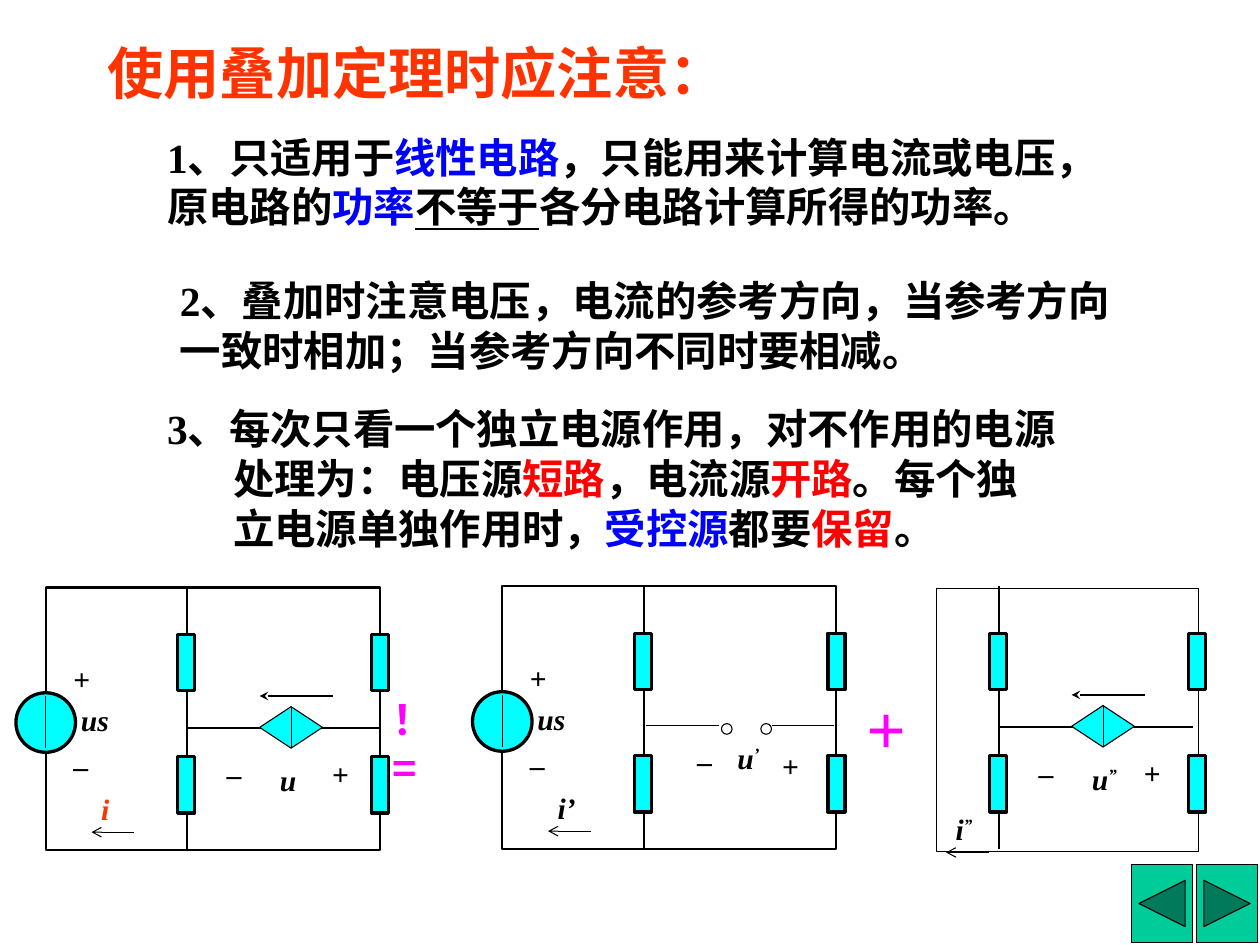
from lxml.etree import SubElement
from pptx import Presentation
from pptx.dml.color import RGBColor
from pptx.enum.shapes import MSO_CONNECTOR, MSO_SHAPE
from pptx.enum.text import MSO_ANCHOR, PP_ALIGN
from pptx.oxml.ns import qn
from pptx.util import Pt

PX = 9144  # 100 px to the inch
LATIN, CHINESE = "Times New Roman", "Noto Sans CJK SC"
BLACK, BLUE, RED, ORANGE = "000000", "0000FF", "FF0000", "FF3300"
MAGENTA, CYAN, GREEN = "FF00FF", "00FFFF", "00CC99"
THIN, MEDIUM, THICK = 0.75, 1.5, 2.25

# A run is (text, style); the style names only what differs from its paragraph.
TITLE = [("使用叠加定理时应注意：", {})]
NOTES = [
    ((145, 118, 909, 106), 0, [
        ("1、只适用于", {}), ("线性电路", {"color": BLUE}),
        ("，只能用来计算电流或电压，原电路的", {}), ("功率", {"color": BLUE}),
        ("不等于", {"underline": True}), ("各分电路计算所得的功率。", {})]),
    ((157, 253, 930, 106), 0, [
        ("2、叠加时注意电压，电流的参考方向，当参考方向一致时相加；当参考方向不同时要相减。", {})]),
    ((145, 373, 859, 152), 62, [
        ("3、每次只看一个独立电源作用，对不作用的电源处理为：电压源", {}),
        ("短路", {"color": RED}), ("，电流源", {}), ("开路", {"color": RED}),
        ("。每个独立电源单独作用时，", {}), ("受控源", {"color": BLUE}),
        ("都要", {}), ("保留", {"color": RED}), ("。", {})]),
]
SUPER = {"superscript": True}
# Points inside a circuit are measured from its origin.
CIRCUITS = [
    {"origin": (43, 552), "frame": (0, 0, 314, 247, MEDIUM), "right": 306,
     "voltage_source": True, "controlled_source": True,
     "minus": (158, 152), "plus": (257, 152), "u_at": (208, 158), "u": [("u", {})],
     "current_tip": (43, 230), "i": [("i", {"color": ORANGE})]},
    {"origin": (472, 551), "frame": (0, 0, 314, 247, MEDIUM), "right": 306,
     "voltage_source": True, "controlled_source": False,
     "minus": (171, 141), "plus": (251, 146), "u_at": (209, 138),
     "u": [("u", {}), ("’", SUPER)],
     "current_tip": (43, 230), "i": [("i’", {})]},
    {"origin": (806, 551), "frame": (74, 2, 246, 247, THIN), "right": 311,
     "voltage_source": False, "controlled_source": True,
     "minus": (158, 152), "plus": (257, 152), "u_at": (208, 158),
     "u": [("u", {}), ("”", SUPER)],
     "current_tip": (83, 250), "i": [("i", {}), ("”", SUPER)]},
]
BUTTONS = [(MSO_SHAPE.ACTION_BUTTON_BACK_OR_PREVIOUS, 1063),
           (MSO_SHAPE.ACTION_BUTTON_FORWARD_OR_NEXT, 1124)]


def rgb(color):
    return RGBColor.from_string(color)


def emu(*lengths):
    return [length * PX for length in lengths]


def write(frame, runs, size, color=BLACK, italic=False, wrap=True, hanging=0, font=LATIN):
    frame.word_wrap = wrap
    frame.vertical_anchor = MSO_ANCHOR.TOP
    frame.margin_left = frame.margin_right = 12 * PX
    frame.margin_top = frame.margin_bottom = 6 * PX
    paragraph = frame.paragraphs[0]
    paragraph.alignment = PP_ALIGN.LEFT
    paragraph.font.size = Pt(size)
    paragraph.font.bold = True
    paragraph.font.italic = italic
    paragraph.font.color.rgb = rgb(color)
    paragraph.font.name = font
    properties = paragraph._p.get_or_add_pPr()
    SubElement(properties.find(qn("a:defRPr")), qn("a:ea"), typeface=CHINESE)
    if hanging:
        properties.set("marL", str(hanging * PX))
        properties.set("indent", str(-hanging * PX))
    for text, style in runs:
        run = paragraph.add_run()
        run.text = text
        if "color" in style:
            run.font.color.rgb = rgb(style["color"])
        if "underline" in style:
            run.font.underline = True
        if "superscript" in style:
            run._r.get_or_add_rPr().set("baseline", "30000")


def add_text(slide, box, runs, size, **style):
    write(slide.shapes.add_textbox(*emu(*box)).text_frame, runs, size, **style)


def add_outline(slide, preset, box, width, fill=None):
    shape = slide.shapes.add_shape(preset, *emu(*box))
    shape.shadow.inherit = False
    shape.line.color.rgb = rgb(BLACK)
    shape.line.width = Pt(width)
    if fill:
        shape.fill.solid()
        shape.fill.fore_color.rgb = rgb(fill)
    else:
        shape.fill.background()


def add_wire(slide, start, end, width, head=None):
    wire = slide.shapes.add_connector(MSO_CONNECTOR.STRAIGHT, *emu(*start, *end))
    wire.line.color.rgb = rgb(BLACK)
    wire.line.width = Pt(width)
    if head:
        SubElement(wire.line._get_or_add_ln(), qn("a:tailEnd"), type=head)
    SubElement(wire._element.spPr, qn("a:effectLst"))


def draw_circuit(slide, circuit):
    left, top = circuit["origin"]

    def at(x, y):
        return left + x, top + y

    def label(point, runs, italic=False):
        add_text(slide, (*at(*point), 62, 45), runs, 20, italic=italic)

    x, y, width, height, weight = circuit["frame"]
    add_outline(slide, MSO_SHAPE.RECTANGLE, (*at(x, y), width, height), weight)
    add_wire(slide, at(133, 0), at(133, 247), MEDIUM)

    if circuit["controlled_source"]:
        add_wire(slide, at(133, 132), at(315, 132), MEDIUM)
        add_outline(slide, MSO_SHAPE.DIAMOND, (*at(201, 112), 59, 39), THIN, CYAN)
        add_wire(slide, at(231, 112), at(231, 151), THIN)
        add_wire(slide, at(270, 102), at(201, 102), MEDIUM, "stealth")
    else:
        for terminal, inner, outer in ((206, 204, 135), (243, 253, 312)):
            add_outline(slide, MSO_SHAPE.OVAL, (*at(terminal, 129), 10, 10), THIN)
            add_wire(slide, at(inner, 131), at(outer, 131), THIN)

    if circuit["voltage_source"]:
        add_outline(slide, MSO_SHAPE.OVAL, (*at(-28, 99), 56, 56), THICK, CYAN)
        add_wire(slide, at(0, 102), at(0, 151), THIN)
        label((14, 63), [("+", {})])
        label((14, 145), [("–", {})])
        label((21, 102), [("us", {})], italic=True)

    for x in (124, circuit["right"]):
        for y in (44, 159):
            add_outline(slide, MSO_SHAPE.RECTANGLE, (*at(x, y), 16, 53), THICK, CYAN)

    label(circuit["minus"], [("–", {})])
    label(circuit["plus"], [("+", {})])
    label(circuit["u_at"], circuit["u"], italic=True)
    x, y = circuit["current_tip"]
    add_wire(slide, at(x + 40, y), at(x, y), THIN, "arrow")
    label((x - 3, y - 45), circuit["i"], italic=True)


def main():
    deck = Presentation()
    deck.slide_width, deck.slide_height = emu(1184, 888)
    slide = deck.slides.add_slide(deck.slide_layouts[5])

    title = slide.shapes.title
    title.left, title.top, title.width, title.height = emu(89, 30, 606, 76)
    write(title.text_frame, TITLE, 38, color=ORANGE, wrap=False)
    for box, hanging, runs in NOTES:
        add_text(slide, box, runs, 28, hanging=hanging)

    for circuit in CIRCUITS:
        draw_circuit(slide, circuit)
    add_text(slide, (357, 646, 83, 59), [("！=", {})], 28, color=MAGENTA, font=CHINESE)
    add_text(slide, (802, 638, 61, 90), [("+", {})], 47, color=MAGENTA, wrap=False)

    for preset, x in BUTTONS:
        add_outline(slide, preset, (x, 812, 58, 74), THIN, GREEN)
    deck.save("out.pptx")


if __name__ == "__main__":
    main()
